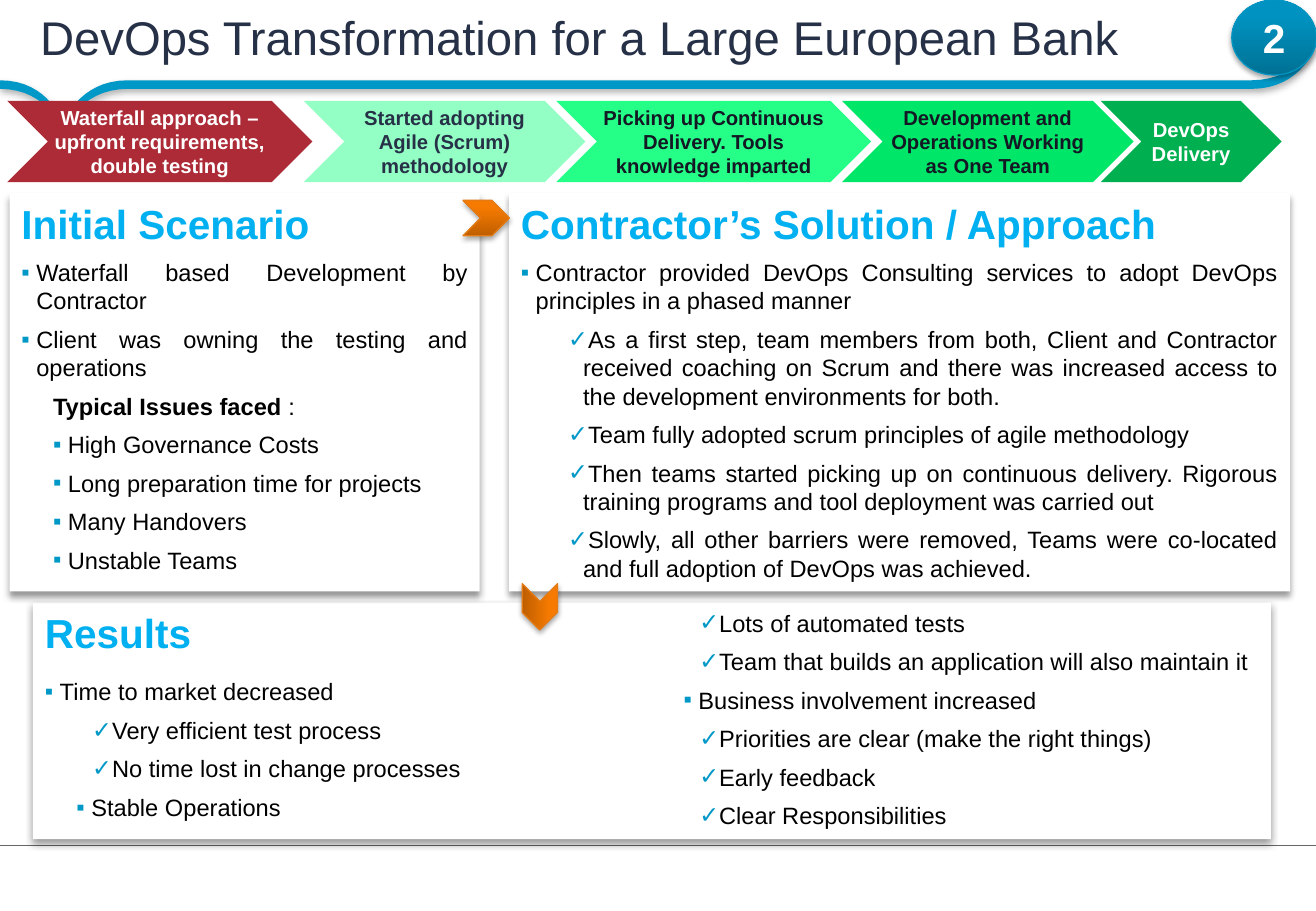
from lxml import etree
from pptx import Presentation
from pptx.dml.color import RGBColor
from pptx.enum.shapes import MSO_CONNECTOR, MSO_SHAPE
from pptx.enum.text import MSO_ANCHOR, PP_ALIGN
from pptx.oxml.ns import qn
from pptx.util import Cm, Pt

RECTANGLE, CHEVRON, OVAL = MSO_SHAPE.RECTANGLE, MSO_SHAPE.CHEVRON, MSO_SHAPE.OVAL
STRAIGHT = MSO_CONNECTOR.STRAIGHT
TOP, MIDDLE = MSO_ANCHOR.TOP, MSO_ANCHOR.MIDDLE
LEFT, CENTER, JUSTIFY = PP_ALIGN.LEFT, PP_ALIGN.CENTER, PP_ALIGN.JUSTIFY
WIDTH, HEIGHT = 27.51, 19.05
BLUE = "0098C7"


def set_font(paragraph, size, color, bold):
    font = paragraph.font
    font.name, font.size, font.bold = "Arial", Pt(size), bold
    font.color.rgb = RGBColor.from_string(color)


def style_shape(shape, colors, shadow=None):
    """One colour gives a plain fill; three give a gradient from bottom to top and a line."""
    shape.shadow.inherit = False
    if len(colors) == 1:
        shape.fill.solid()
        shape.fill.fore_color.rgb = RGBColor.from_string(colors[0])
        shape.line.fill.background()
    else:
        shape.fill.gradient()
        shape.fill.gradient_angle = 90
        for stop, color, position in zip(shape.fill.gradient_stops, colors, (0, 0.8)):
            stop.color.rgb = RGBColor.from_string(color)
            stop.position = position
        shape.line.color.rgb = RGBColor.from_string(colors[2])
        shape.line.width = Pt(0.75)
    if shadow:
        opacity, blur, distance = shadow
        effects = shape._element.spPr.find(qn("a:effectLst"))
        outer = etree.SubElement(effects, qn("a:outerShdw"), blurRad=str(Pt(blur)),
                                 dist=str(Pt(distance)), dir="5400000", rotWithShape="0")
        black = etree.SubElement(outer, qn("a:srgbClr"), val="000000")
        etree.SubElement(black, qn("a:alpha"), val=str(opacity * 1000))


presentation = Presentation()
presentation.slide_width, presentation.slide_height = Cm(WIDTH), Cm(HEIGHT)
slide = presentation.slides.add_slide(presentation.slide_layouts[6])
shapes = slide.shapes

# Ribbon under the title: its upper edge, then the same edge lowered
edge_curves = [
    ((0, 1.68), (1.04, 1.68), (1.32, 2.59), (1.32, 2.59)),
    ((1.32, 2.59), (1.32, 2.59), (1.63, 1.68), (2.67, 1.68)),
    ((26.16, 1.68), (27.23, 1.68), (27.51, 0.76), (27.51, 0.76)),
]
STEPS = 16
upper_edge = []
for curve in edge_curves:
    for step in range(STEPS + 1):
        t = step / STEPS
        weights = ((1 - t) ** 3, 3 * t * (1 - t) ** 2, 3 * t ** 2 * (1 - t), t ** 3)
        upper_edge.append(tuple(sum(weight * point[axis] for weight, point in zip(weights, curve))
                                for axis in (0, 1)))
lower_edge = [(x, y + 0.18) for x, y in reversed(upper_edge)]
outline = [(Cm(x), Cm(y)) for x, y in upper_edge + lower_edge]
builder = shapes.build_freeform(*outline[0])
builder.add_line_segments(outline[1:], close=True)
style_shape(builder.convert_to_shape(), [BLUE], (31, 4, 2))

# Footer line
footer_line = shapes.add_connector(STRAIGHT, Cm(WIDTH), Cm(17.68), Cm(0), Cm(17.68))
footer_line.line.color.rgb = RGBColor.from_string("666666")
footer_line.line.width = Pt(0.75)
etree.SubElement(footer_line._element.spPr, qn("a:effectLst"))

# Title
title_frame = shapes.add_textbox(Cm(0), Cm(0), Cm(WIDTH), Cm(1.73)).text_frame
title_frame.word_wrap = True
title_frame.vertical_anchor = MIDDLE
title_frame.margin_left, title_frame.margin_right = Cm(0.84), Cm(0.46)
title_frame.margin_top = title_frame.margin_bottom = Cm(0.1)
title = title_frame.paragraphs[0]
title.text = "DevOps Transformation for a Large European Bank"
title.line_spacing = 0.85
set_font(title, 28, "263147", False)

# Text panels: left, top, width, height, columns, heading, space after it, items
# Each level gives bullet and left indent
levels = {
    "main": ("▪", 0.31),
    "label": (None, 0.97),
    "sub": ("▪", 0.97),
    "check": ("✓", 1.3),
}
panels = [
    (0.69, 12.6, 25.88, 4.95, 2, "Results", 6, [
        ("main", "Time to market decreased"),
        ("check", "Very efficient test process"),
        ("check", "No time lost in change processes"),
        ("sub", "Stable Operations"),
        ("check", "Lots of automated tests"),
        ("check", "Team that builds an application will also maintain it"),
        ("sub", "Business involvement increased"),
        ("check", "Priorities are clear (make the right things)"),
        ("check", "Early feedback"),
        ("check", "Clear Responsibilities"),
    ]),
    (0.2, 4.04, 9.83, 8.33, 1, "Initial Scenario", 0, [
        ("main", "Waterfall based Development by Contractor"),
        ("main", "Client was owning the testing and operations"),
        ("label", "Typical Issues faced :"),
        ("sub", "High Governance Costs"),
        ("sub", "Long preparation time for projects"),
        ("sub", "Many Handovers"),
        ("sub", "Unstable Teams"),
    ]),
    (10.64, 4.04, 16.33, 8.33, 1, "Contractor’s Solution / Approach", 0, [
        ("main", "Contractor provided DevOps Consulting services to adopt DevOps principles "
                 "in a phased manner"),
        ("check", "As a first step, team members from both, Client and Contractor received "
                  "coaching on Scrum and there was increased access to the development "
                  "environments for both."),
        ("check", "Team fully adopted scrum principles of agile methodology"),
        ("check", "Then teams started picking up on continuous delivery. Rigorous training "
                  "programs and tool deployment was carried out"),
        ("check", "Slowly, all other barriers were removed, Teams were co-located and full "
                  "adoption of DevOps was achieved."),
    ]),
]
for left, top, width, height, columns, heading_text, space_after, items in panels:
    panel = shapes.add_shape(RECTANGLE, Cm(left), Cm(top), Cm(width), Cm(height))
    style_shape(panel, ["FFFFFF"], (40, 4, 3))
    frame = panel.text_frame
    frame.word_wrap = True
    frame.vertical_anchor = TOP
    if columns > 1:
        frame._txBody.bodyPr.set("numCol", str(columns))
    heading = frame.paragraphs[0]
    heading.text = heading_text
    heading.alignment = LEFT
    heading.space_after = Pt(space_after)
    set_font(heading, 24, "00B0F0", True)
    for level, text in items:
        bullet, indent = levels[level]
        paragraph = frame.add_paragraph()
        paragraph.alignment = JUSTIFY
        paragraph.space_before = Pt(6)
        properties = paragraph._p.get_or_add_pPr()
        properties.set("marL", str(Cm(indent)))
        properties.set("indent", str(Cm(-0.31)))
        if bullet:
            bullet_color = etree.SubElement(properties, qn("a:buClr"))
            etree.SubElement(bullet_color, qn("a:srgbClr"), val=BLUE)
            etree.SubElement(properties, qn("a:buFont"), typeface="Arial")
            etree.SubElement(properties, qn("a:buChar"), char=bullet)
        set_font(paragraph, 14, "000000", False)
        if level == "label":
            label = paragraph.add_run()
            label.text = text[:-1]
            label.font.bold = True
            paragraph.add_run().text = text[-1]
        else:
            paragraph.text = text

# Chevrons of the transformation path
stages = [
    (0.15, 6.38, "AC2B37", "FFFFFF", "Waterfall approach – upfront requirements, double testing"),
    (6.35, 5.89, "93FFC4", "263147", "Started adopting Agile (Scrum) methodology"),
    (11.63, 6.58, "25FF88", "131824", "Picking up Continuous Delivery. Tools knowledge imparted"),
    (17.6, 6.1, "00E668", "131824", "Development and Operations Working as One Team"),
    (23.01, 3.78, "00B050", "FFFFFF", "DevOps Delivery"),
]
for left, width, fill, text_color, text in stages:
    stage = shapes.add_shape(CHEVRON, Cm(left), Cm(2.11), Cm(width), Cm(1.7))
    style_shape(stage, [fill])
    frame = stage.text_frame
    frame.word_wrap = True
    frame.margin_left = frame.margin_right = frame.margin_top = frame.margin_bottom = 0
    paragraph = frame.paragraphs[0]
    paragraph.text = text
    paragraph.alignment = CENTER
    set_font(paragraph, 12, text_color, True)

# Orange arrows between the panels
for left, top, rotation in [(9.68, 4.19, 0), (10.8, 12.32, 90)]:
    arrow = shapes.add_shape(CHEVRON, Cm(left), Cm(top), Cm(0.97), Cm(0.74))
    arrow.rotation = rotation
    style_shape(arrow, ["BE5E00", "F67A00", "E47B14"], (35, 3.1, 1.8))

# Page number
badge = shapes.add_shape(OVAL, Cm(25.75), Cm(0), Cm(1.77), Cm(1.57))
style_shape(badge, ["007194", "0093C1", "0095C3"], (35, 3.1, 1.8))
number = badge.text_frame.paragraphs[0]
number.text = "2"
number.alignment = CENTER
set_font(number, 24, "FFFFFF", True)

presentation.save("out.pptx")
